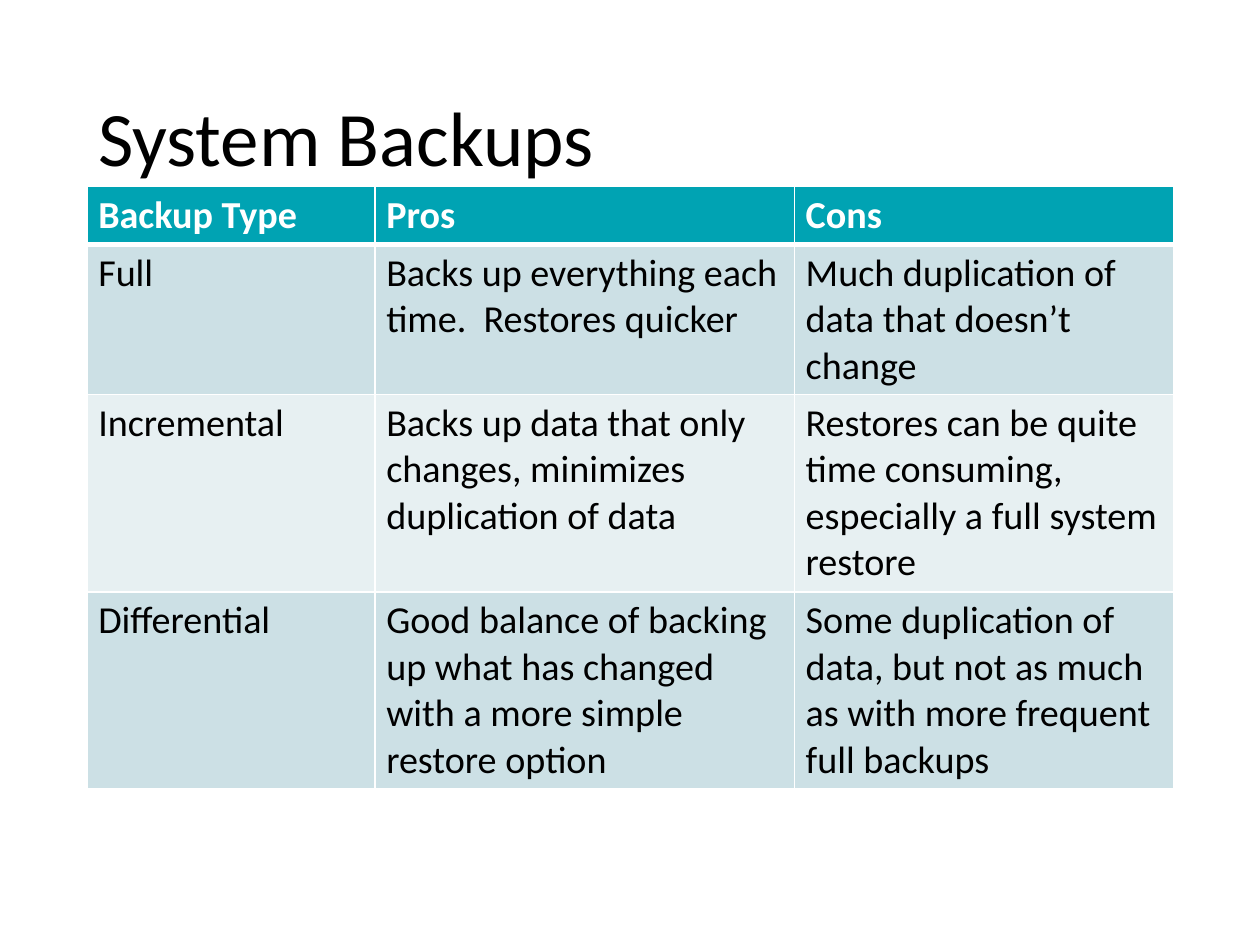
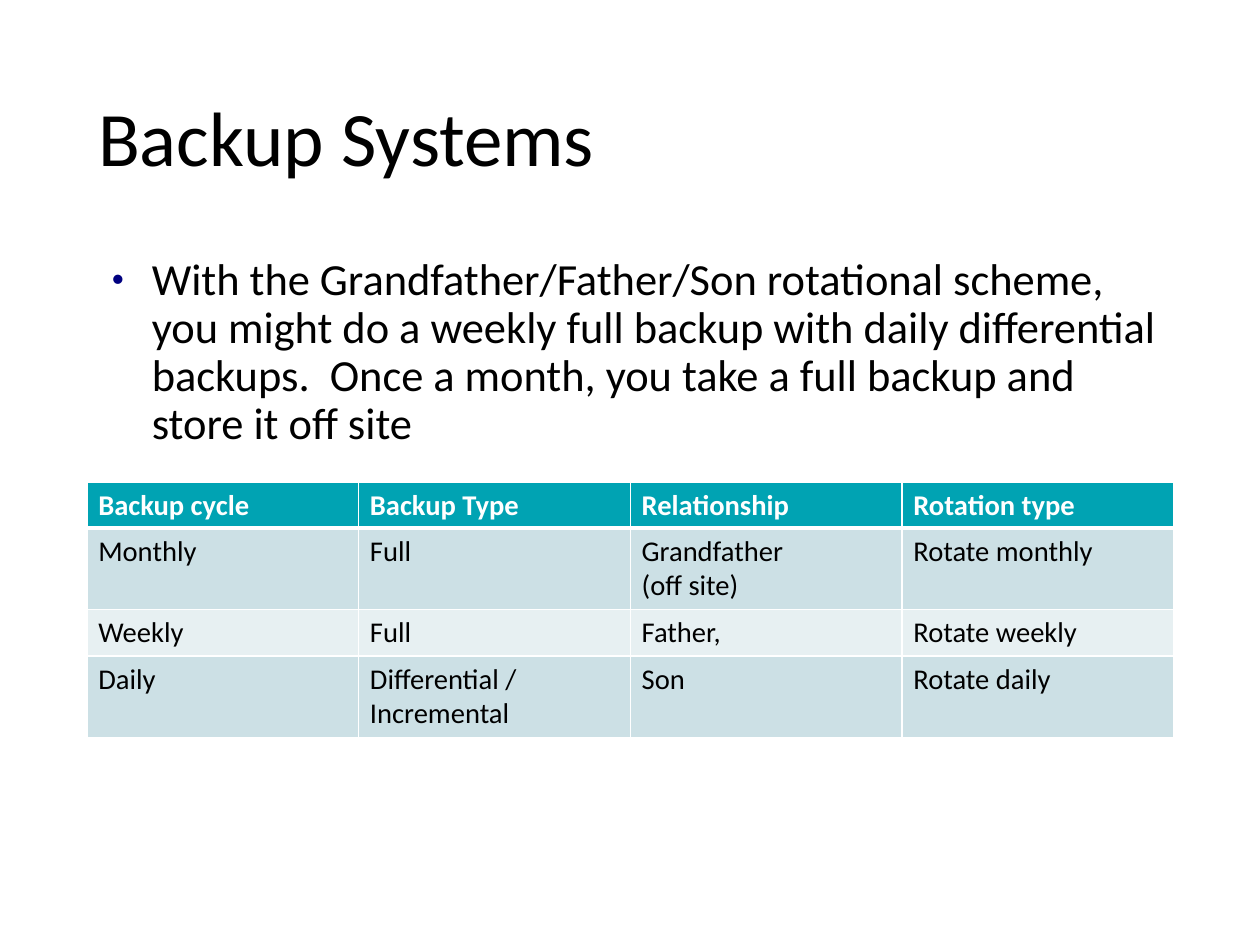
from dataclasses import dataclass

from lxml.etree import SubElement
from pptx import Presentation
from pptx.dml.color import RGBColor
from pptx.enum.text import MSO_ANCHOR
from pptx.oxml.ns import qn
from pptx.util import Inches, Pt

# Shared style
FONT = "Calibri"
BLACK = RGBColor(0x00, 0x00, 0x00)
WHITE = RGBColor(0xFF, 0xFF, 0xFF)
TEAL = RGBColor(0x00, 0xA3, 0xB3)
BAND_DARK = RGBColor(0xCC, 0xE0, 0xE5)
BAND_LIGHT = RGBColor(0xE7, 0xF0, 0xF2)
NAVY = RGBColor(0x00, 0x00, 0x80)
CM_PER_INCH = 2.54
LEFT, WIDTH = 0.76, 9.51
LINE_SPACING = 0.9


@dataclass
class TableSpec:
    top: float
    widths: list[float]
    heights: list[float]
    size: float
    rows: list[list[str]]


def add_run(p, text: str, size: float, color: RGBColor = BLACK, bold: bool = False) -> None:
    r = p.add_run()
    r.text = text
    r.font.name = FONT
    r.font.size = Pt(size)
    r.font.bold = bold
    r.font.color.rgb = color


def add_box(s, top: float, height: float, anchor: MSO_ANCHOR):
    """Add a full-width text box and return its first paragraph."""
    box = s.shapes.add_textbox(Inches(LEFT), Inches(top), Inches(WIDTH), Inches(height))
    tf = box.text_frame
    tf.word_wrap = True
    tf.vertical_anchor = anchor
    p = tf.paragraphs[0]
    p.line_spacing = LINE_SPACING
    return p


def add_title(s, text: str) -> None:
    add_run(add_box(s, 0.44, 1.6, MSO_ANCHOR.MIDDLE), text, 48.5)


def add_bullet(s, text: str) -> None:
    p = add_box(s, 2.2, 5.25, MSO_ANCHOR.TOP)
    p.space_after = Pt(14.1)
    pPr = p._p.get_or_add_pPr()
    pPr.set("marL", str(Inches(0.47)))
    pPr.set("indent", str(Inches(-0.35)))
    SubElement(SubElement(pPr, qn("a:buClr")), qn("a:srgbClr"), val=str(NAVY))
    SubElement(pPr, qn("a:buSzPct"), val="45000")
    SubElement(pPr, qn("a:buFont"), typeface=FONT)
    SubElement(pPr, qn("a:buChar"), char="●")
    add_run(p, text, 28)


def set_borders(cell, top: float, bottom: float) -> None:
    tcPr = cell._tc.get_or_add_tcPr()
    for side, width in (("L", 1), ("R", 1), ("T", top), ("B", bottom)):
        ln = SubElement(tcPr, qn(f"a:ln{side}"), w=str(Pt(width)))
        SubElement(SubElement(ln, qn("a:solidFill")), qn("a:srgbClr"), val=str(WHITE))


def add_banded_table(s, spec: TableSpec) -> None:
    frame = s.shapes.add_table(len(spec.rows), len(spec.widths),
                               Inches(LEFT), Inches(spec.top),
                               Inches(sum(spec.widths)), Inches(sum(spec.heights)))
    table = frame.table
    table.horz_banding = False
    for column, width in zip(table.columns, spec.widths):
        column.width = Inches(width)
    for row, height in zip(table.rows, spec.heights):
        row.height = Inches(height)
    for i, texts in enumerate(spec.rows):
        header = i == 0
        fill = TEAL if header else BAND_DARK if i % 2 else BAND_LIGHT
        for j, text in enumerate(texts):
            cell = table.cell(i, j)
            # A heavier rule separates the header from the body
            set_borders(cell, top=3 if i == 1 else 1, bottom=3 if header else 1)
            cell.fill.solid()
            cell.fill.fore_color.rgb = fill
            tf = cell.text_frame
            for k, line in enumerate(text.split("\n")):
                p = tf.add_paragraph() if k else tf.paragraphs[0]
                add_run(p, line, spec.size, WHITE if header else BLACK, header)


BACKUP_TYPES = TableSpec(1.63, [2.52, 3.67, 3.32], [0.51, 1.31, 1.73, 1.72], 24, [
    ["Backup Type", "Pros", "Cons"],
    ["Full", "Backs up everything each time.  Restores quicker",
     "Much duplication of data that doesn’t change"],
    ["Incremental", "Backs up data that only changes, minimizes duplication of data",
     "Restores can be quite time consuming, especially a full system restore"],
    ["Differential",
     "Good balance of backing up what has changed with a more simple restore option",
     "Some duplication of data, but not as much as with more frequent full backups"],
])

ROTATION = TableSpec(4.22, [WIDTH / 4] * 4, [0.4, 0.71, 0.41, 0.71], 18, [
    ["Backup cycle", "Backup Type", "Relationship", "Rotation type"],
    ["Monthly", "Full", "Grandfather\n(off site)", "Rotate monthly"],
    ["Weekly", "Full", "Father,", "Rotate weekly"],
    ["Daily", "Differential / Incremental", "Son", "Rotate daily"],
])


def main() -> None:
    prs = Presentation()
    # A 28 by 21 cm page
    prs.slide_width = Inches(28 / CM_PER_INCH)
    prs.slide_height = Inches(21 / CM_PER_INCH)
    blank = prs.slide_layouts[6]

    # Backup types compared
    s = prs.slides.add_slide(blank)
    add_title(s, "System Backups")
    add_banded_table(s, BACKUP_TYPES)

    # Rotation scheme
    s = prs.slides.add_slide(blank)
    add_title(s, "Backup Systems")
    add_bullet(s, "With the Grandfather/Father/Son rotational scheme, you might do a weekly "
                  "full backup with daily differential backups.  Once a month, you take a "
                  "full backup and store it off site")
    add_banded_table(s, ROTATION)

    prs.save("out.pptx")


if __name__ == "__main__":
    main()
